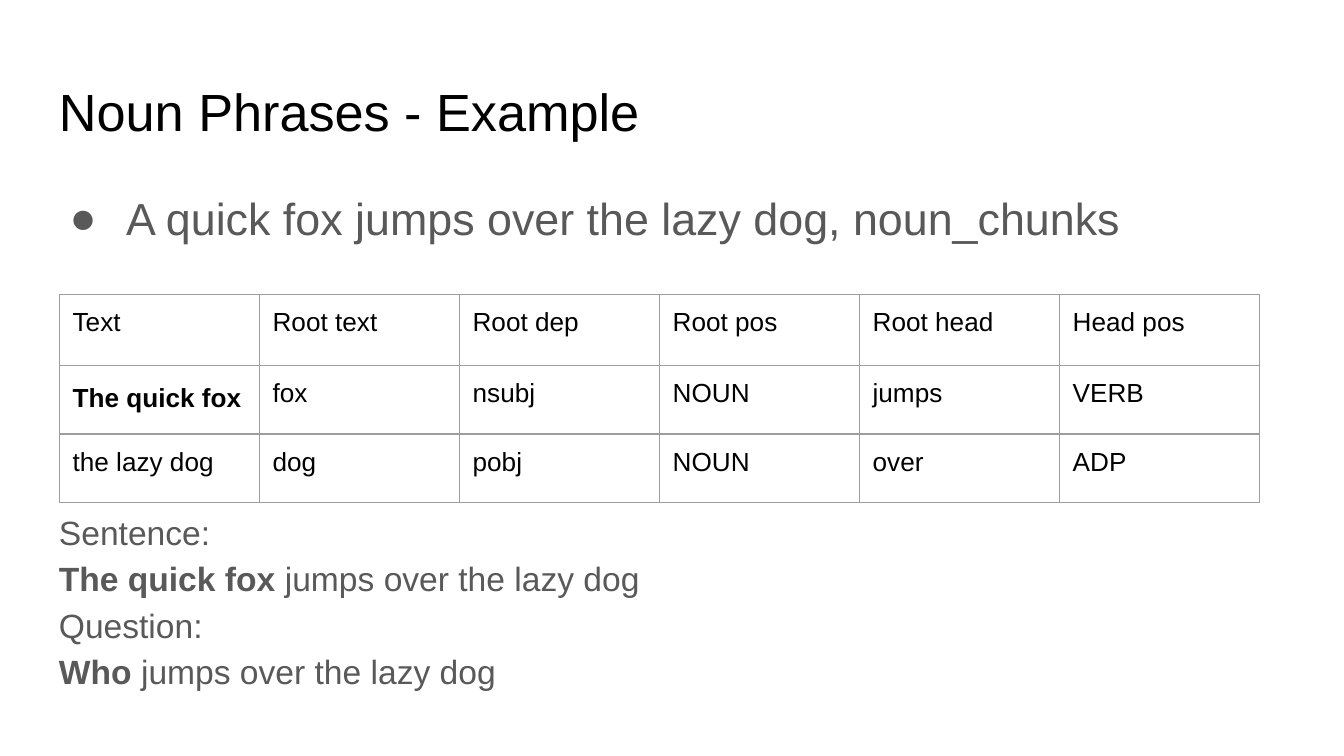
"""Build a slide that explains noun phrases with an example table."""
import pptx
import pptx.dml.color
import pptx.oxml
import pptx.oxml.ns
import pptx.util
import lxml.etree

Inches = pptx.util.Inches
Pt = pptx.util.Pt
FONT = "Arial"
HUES = {"ink": "000000", "body": "595959", "rule": "9E9E9E", "page": "FFFFFF"}
ROWS = [
    ["Text", "Root text", "Root dep", "Root pos", "Root head", "Head pos"],
    ["The quick fox", "fox", "nsubj", "NOUN", "jumps", "VERB"],
    ["the lazy dog", "dog", "pobj", "NOUN", "over", "ADP"],
]
HIGHS = [0.53, 0.51, 0.51]
TITLE = [(28, [("Noun Phrases - Example", False)])]
LINES = [
    (24, [("A quick fox jumps over the lazy dog, noun_chunks", False)]),
    (18, [("Sentence:", False)]),
    (18, [("The quick fox ", True), ("jumps over the lazy dog", False)]),
    (18, [("Question:", False)]),
    (18, [("Who ", True), ("jumps over the lazy dog", False)]),
]


def tint(name):
    return pptx.dml.color.RGBColor.from_string(HUES[name])


def add_node(host, tag, **attrs):
    return lxml.etree.SubElement(host, pptx.oxml.ns.qn(tag), **attrs)


def set_pad(item):
    item.margin_left = item.margin_right = Inches(0.1)
    item.margin_top = item.margin_bottom = Inches(0.1)


def add_run(para, text, size, hue, bold=False):
    run = para.add_run()
    run.text = text
    run.font.name = FONT
    run.font.size = Pt(size)
    run.font.bold = bold
    run.font.color.rgb = tint(hue)


def add_text(slide, box, lines, hue, space=None):
    frame = slide.shapes.add_textbox(*map(Inches, box)).text_frame
    frame.word_wrap = True
    set_pad(frame)
    for num, (size, runs) in enumerate(lines):
        para = frame.add_paragraph() if num else frame.paragraphs[0]
        para.line_spacing = space
        for text, bold in runs:
            add_run(para, text, size, hue, bold)
    return frame.paragraphs


def add_bullet(para, hue):
    props = para._p.get_or_add_pPr()
    props.set("marL", str(Inches(0.5)))
    props.set("indent", str(Inches(-0.42)))
    add_node(add_node(props, "a:buClr"), "a:srgbClr", val=HUES[hue])
    add_node(props, "a:buFont", typeface=FONT)
    add_node(props, "a:buChar", char="●")


def add_edges(cell, hue, width):
    props = cell._tc.get_or_add_tcPr()
    for spot, side in enumerate(("a:lnL", "a:lnR", "a:lnT", "a:lnB")):
        edge = pptx.oxml.parse_xml(
            f'<{side} {pptx.oxml.ns.nsdecls("a")} w="{Pt(width)}"/>')
        add_node(add_node(edge, "a:solidFill"), "a:srgbClr", val=HUES[hue])
        props.insert(spot, edge)


def fill_cell(cell, text, bold):
    cell.fill.background()
    set_pad(cell)
    para = cell.text_frame.paragraphs[0]
    if bold:
        para.line_spacing = 1.15
    add_run(para, text, 14, "ink", bold)
    add_edges(cell, "rule", 0.75)


def add_grid(slide, box, rows, highs):
    frame = slide.shapes.add_table(len(rows), len(rows[0]), *map(Inches, box))
    grid = frame.table
    grid.first_row = grid.horz_banding = False
    for row, high in zip(grid.rows, highs):
        row.height = Inches(high)
    for y, row in enumerate(rows):
        for x, text in enumerate(row):
            fill_cell(grid.cell(y, x), text, text == "The quick fox")


def main():
    deck = pptx.Presentation()
    deck.slide_width = Inches(10)
    deck.slide_height = deck.slide_width * 9 // 16
    slide = deck.slides.add_slide(deck.slide_layouts[6])
    slide.background.fill.solid()
    slide.background.fill.fore_color.rgb = tint("page")
    add_text(slide, (0.34, 0.49, 9.32, 0.63), TITLE, "ink")
    paras = add_text(slide, (0.34, 1.26, 9.32, 3.99), LINES, "body", 1.15)
    add_bullet(paras[0], "body")
    paras[1].space_before = Pt(140)
    add_grid(slide, (0.44, 2.19, 8.93, 1.55), ROWS, HIGHS)
    deck.save("out.pptx")


main()
